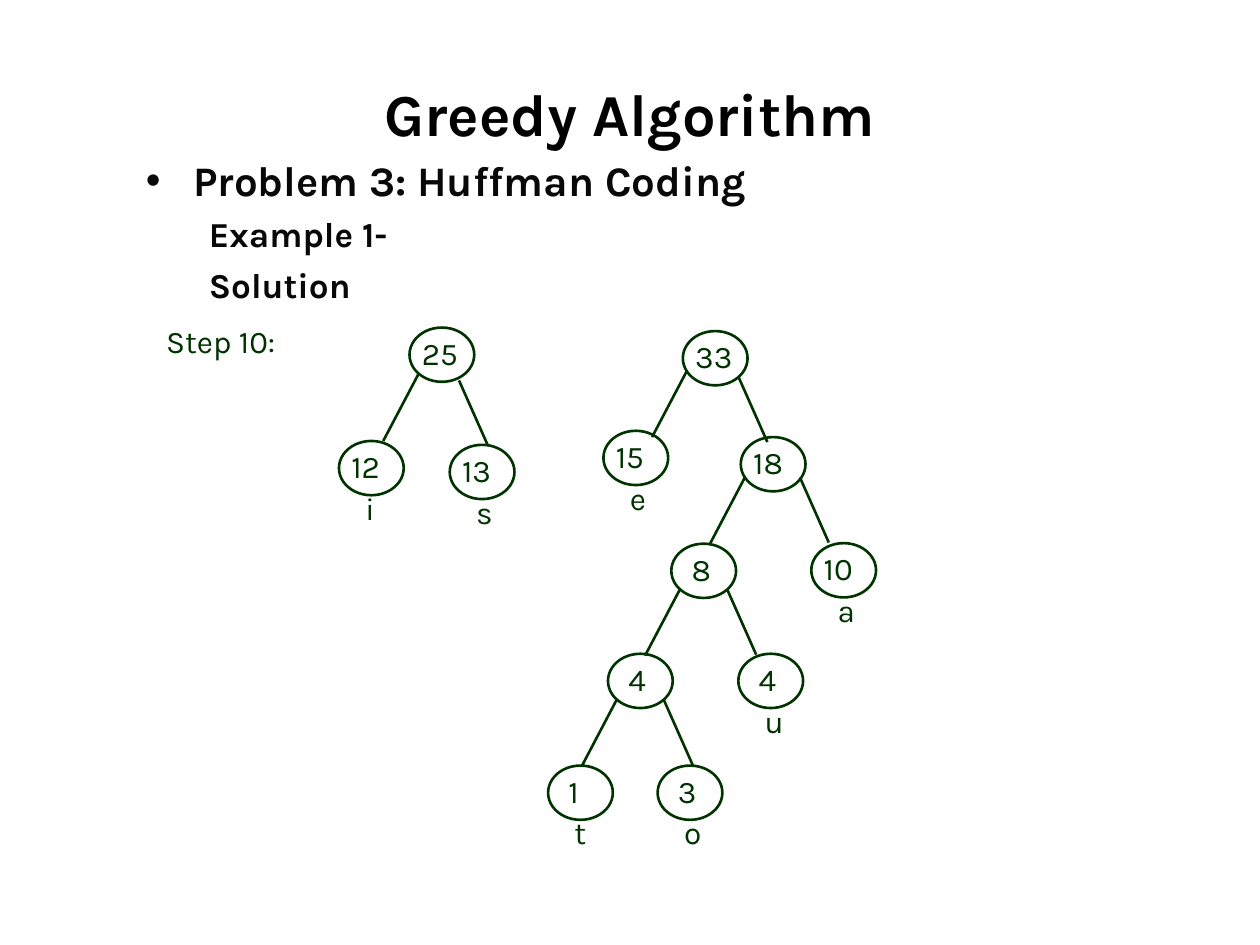
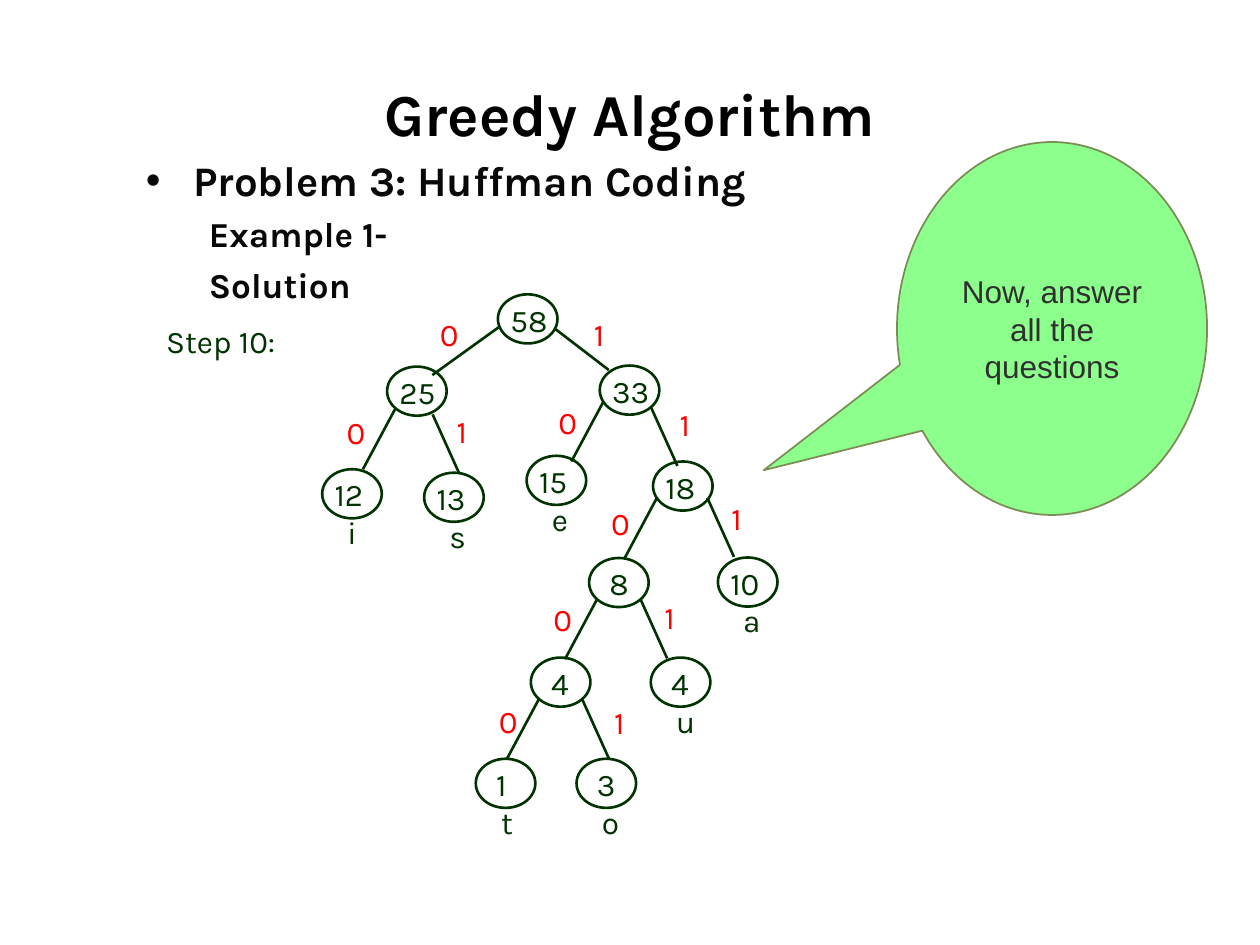
"""Build two slides that show the last steps of a Huffman coding example."""
from dataclasses import dataclass
from typing import Any, NamedTuple

from lxml import etree
from pptx import Presentation
from pptx import util as u
from pptx.dml import color
from pptx.enum import shapes, text
from pptx.oxml import ns

Pt = u.Pt


@dataclass(frozen=True)
class Theme:
    """Colours, fonts and type sizes."""
    title: str = "000000"
    body: str = "080808"
    tree: str = "003300"
    bit: str = "FF0000"
    callout_fill: str = "8CFF8C"
    callout_line: str = "7B8D55"
    callout_text: str = "303030"
    font: str = "Karla"
    callout_font: str = "Arial"
    title_size: int = 34
    heading_size: int = 24
    subheading_size: int = 20
    label_size: int = 18
    tree_line: float = 1.5


class Box(NamedTuple):
    """A rectangle in points."""
    left: float
    top: float
    width: float
    height: float

    def lengths(self) -> list[int]:
        """Return the four lengths as slide units."""
        return [Pt(value) for value in self]


class Branch(NamedTuple):
    """A line that starts at an offset from its parent node."""
    x: float
    y: float
    run: float
    drop: float


@dataclass(frozen=True)
class Node:
    """A weighted node, placed relative to the root of its tree."""
    value: str
    x: float = 0
    y: float = 0
    letter: str = ""
    branches: tuple[Branch, ...] = ()


class Placement(NamedTuple):
    """Where the root of a tree stands and how the tree is scaled."""
    left: float
    top: float
    scale_x: float = 1
    scale_y: float = 1

    def place(self, x: float, y: float, width: float, height: float) -> Box:
        """Map a box from tree to slide coordinates."""
        return Box(self.left + x * self.scale_x, self.top + y * self.scale_y,
                   width * self.scale_x, height * self.scale_y)


def pair(left_x: float, left_y: float, right_x: float, right_y: float) -> tuple[Branch, ...]:
    """Return the usual left and right branches of a node."""
    return Branch(left_x, left_y, -20, 38), Branch(right_x, right_y, 16.5, 37.2)


THEME = Theme()
COMPACT = (0.92, 0.905)
TREE_25 = (
    Node("13", 23, 67, "s"),
    Node("12", -40.3, 64.8, "i"),
    Node("25", branches=pair(5, 26.8, 28.3, 30.2)),
)
TREE_33 = (
    Node("15", -45.4, 57, "e"),
    Node("10", 73.4, 121.2, "a"),
    Node("4", 31.7, 184.4, "u"),
    Node("1", -77, 248.3, "t"),
    Node("3", -14.4, 248.3, "o"),
    Node("4", -42.8, 184.4, branches=pair(5, 26.3, 32, 26.5)),
    Node("8", -6.6, 121.5, branches=pair(5, 26, 32, 26.2)),
    Node("18", 33.1, 60.6, branches=pair(2.6, 22.6, 33.8, 23)),
    Node("33", branches=pair(2.4, 22.6, 31.8, 26.2)),
)
TREE_58 = (Node("58", branches=(Branch(1.6, 20, -42.3, 31), Branch(35.2, 21.5, 33.7, 26.3))),)
ZERO_POSITIONS = [(241.2, 176.4), (308.9, 226.8), (187.9, 232.6),
                  (339.1, 284.4), (275, 397.4), (306, 339.1)]
ONE_POSITIONS = [(326.9, 176.4), (375.8, 228.2), (405.4, 281.5),
                 (367.2, 338.4), (338.4, 398.2), (248.4, 231.8)]


def rgb(value: str) -> color.RGBColor:
    """Turn a hex string into a colour."""
    return color.RGBColor.from_string(value)


def format_paragraph(paragraph: Any, size: float, colour: str, bold: bool = False,
                     font: str = THEME.font, align: Any = None) -> None:
    """Format every run of a paragraph."""
    if align is not None:
        paragraph.alignment = align
    for run in paragraph.runs:
        run.font.name = font
        run.font.size = Pt(size)
        run.font.bold = bold
        run.font.color.rgb = rgb(colour)


def add_label(container: Any, box: Box, words: str, colour: str = THEME.tree,
              align: Any = text.PP_ALIGN.LEFT, indent: float = 0) -> None:
    """Add a short text box."""
    shape = container.add_textbox(*box.lengths())
    frame = shape.text_frame
    frame.word_wrap = True
    frame.auto_size = text.MSO_AUTO_SIZE.SHAPE_TO_FIT_TEXT
    frame.margin_left = Pt(7.2 + indent)
    frame.text = words
    format_paragraph(frame.paragraphs[0], THEME.label_size, colour, align=align)


def add_branch(container: Any, box: Box) -> None:
    """Add the line between a parent and its child."""
    connector = container.add_connector(
        shapes.MSO_CONNECTOR.STRAIGHT, Pt(box.left), Pt(box.top),
        Pt(box.left + box.width), Pt(box.top + box.height))
    connector.line.color.rgb = rgb(THEME.tree)
    connector.line.width = Pt(THEME.tree_line)
    etree.SubElement(connector._element.spPr, ns.qn("a:effectLst"))


def add_node(container: Any, node: Node, placement: Placement) -> None:
    """Add a node with its value, its letter and its branches."""
    ellipse = container.add_shape(
        shapes.MSO_SHAPE.OVAL, *placement.place(node.x, node.y, 37, 31).lengths())
    ellipse.shadow.inherit = False
    ellipse.fill.background()
    ellipse.line.color.rgb = rgb(THEME.tree)
    ellipse.line.width = Pt(THEME.tree_line)
    add_label(container, placement.place(node.x, node.y, 39.6, 28.8), node.value,
              indent=4.4 if len(node.value) == 1 else 0)
    if node.letter:
        add_label(container, placement.place(node.x + 8, node.y + 23.8, 28, 28.8), node.letter)
    for branch in node.branches:
        add_branch(container, placement.place(
            node.x + branch.x, node.y + branch.y, branch.run, branch.drop))


def add_tree(slide: Any, nodes: tuple[Node, ...], placement: Placement) -> None:
    """Add a whole tree as one group."""
    group = slide.shapes.add_group_shape()
    for node in nodes:
        add_node(group.shapes, node, placement)


def add_headings(slide: Any) -> None:
    """Add the bulleted problem name with its two subheadings."""
    shape = slide.shapes.add_textbox(*Box(76.3, 82.8, 566.6, 147.6).lengths())
    frame = shape.text_frame
    frame.word_wrap = True
    frame.margin_top = Pt(5.5)
    frame.text = "Problem 3: Huffman Coding\nExample 1-\nSolution"
    for index, paragraph in enumerate(frame.paragraphs):
        first = index == 0
        properties = paragraph._p.get_or_add_pPr()
        properties.set("marL", str(Pt(27 if first else 36)))
        properties.set("indent", str(Pt(-27 if first else 0)))
        if first:
            bullet_font = etree.SubElement(properties, ns.qn("a:buFont"))
            bullet_font.set("typeface", "Arial")
            etree.SubElement(properties, ns.qn("a:buChar")).set("char", "•")
        else:
            paragraph.level = 1
            paragraph.space_before = Pt(4.6)
        size = THEME.heading_size if first else THEME.subheading_size
        format_paragraph(paragraph, size, THEME.body, bold=True, align=text.PP_ALIGN.JUSTIFY)


def add_step_slide(presentation: Any) -> Any:
    """Add a slide with the shared title, headings and step label."""
    slide = presentation.slides.add_slide(presentation.slide_layouts[5])
    title = slide.shapes.title
    title.left, title.top, title.width, title.height = Box(36, 36, 648, 56.9).lengths()
    title.text_frame.text = "Greedy Algorithm"
    title.text_frame.vertical_anchor = text.MSO_ANCHOR.MIDDLE
    format_paragraph(title.text_frame.paragraphs[0], THEME.title_size, THEME.title,
                     bold=True, align=text.PP_ALIGN.CENTER)
    add_headings(slide)
    add_label(slide.shapes, Box(87.8, 180.7, 85, 28.8), "Step 10:")
    return slide


def add_callout(slide: Any) -> None:
    """Add the speech bubble that points at the finished tree."""
    callout = slide.shapes.add_shape(
        shapes.MSO_SHAPE.OVAL_CALLOUT, *Box(512.6, 81.2, 177.2, 213.1).lengths())
    callout.shadow.inherit = False
    callout.adjustments[0], callout.adjustments[1] = -0.93, 0.38
    callout.fill.solid()
    callout.fill.fore_color.rgb = rgb(THEME.callout_fill)
    callout.line.color.rgb = rgb(THEME.callout_line)
    callout.line.width = Pt(1)
    frame = callout.text_frame
    frame.word_wrap = True
    frame.vertical_anchor = text.MSO_ANCHOR.MIDDLE
    frame.text = "Now, answer all the questions"
    format_paragraph(frame.paragraphs[0], THEME.label_size, THEME.callout_text,
                     font=THEME.callout_font, align=text.PP_ALIGN.CENTER)


def main() -> None:
    """Build and save the presentation."""
    presentation = Presentation()
    presentation.slide_width, presentation.slide_height = Pt(720), Pt(540)

    two_trees = add_step_slide(presentation)
    add_tree(two_trees, TREE_25, Placement(234, 187.2))
    add_tree(two_trees, TREE_33, Placement(390.2, 189.2))

    merged_tree = add_step_slide(presentation)
    add_tree(merged_tree, TREE_25, Placement(221.2, 209.5, *COMPACT))
    add_tree(merged_tree, TREE_33, Placement(342.7, 208.9, *COMPACT))
    add_tree(merged_tree, TREE_58, Placement(284.5, 168.2, *COMPACT))
    for bit, positions in (("0", ZERO_POSITIONS), ("1", ONE_POSITIONS)):
        for left, top in positions:
            add_label(merged_tree.shapes, Box(left, top, 31, 28.8), bit, THEME.bit,
                      text.PP_ALIGN.CENTER)
    add_callout(merged_tree)

    presentation.save("out.pptx")


if __name__ == "__main__":
    main()
